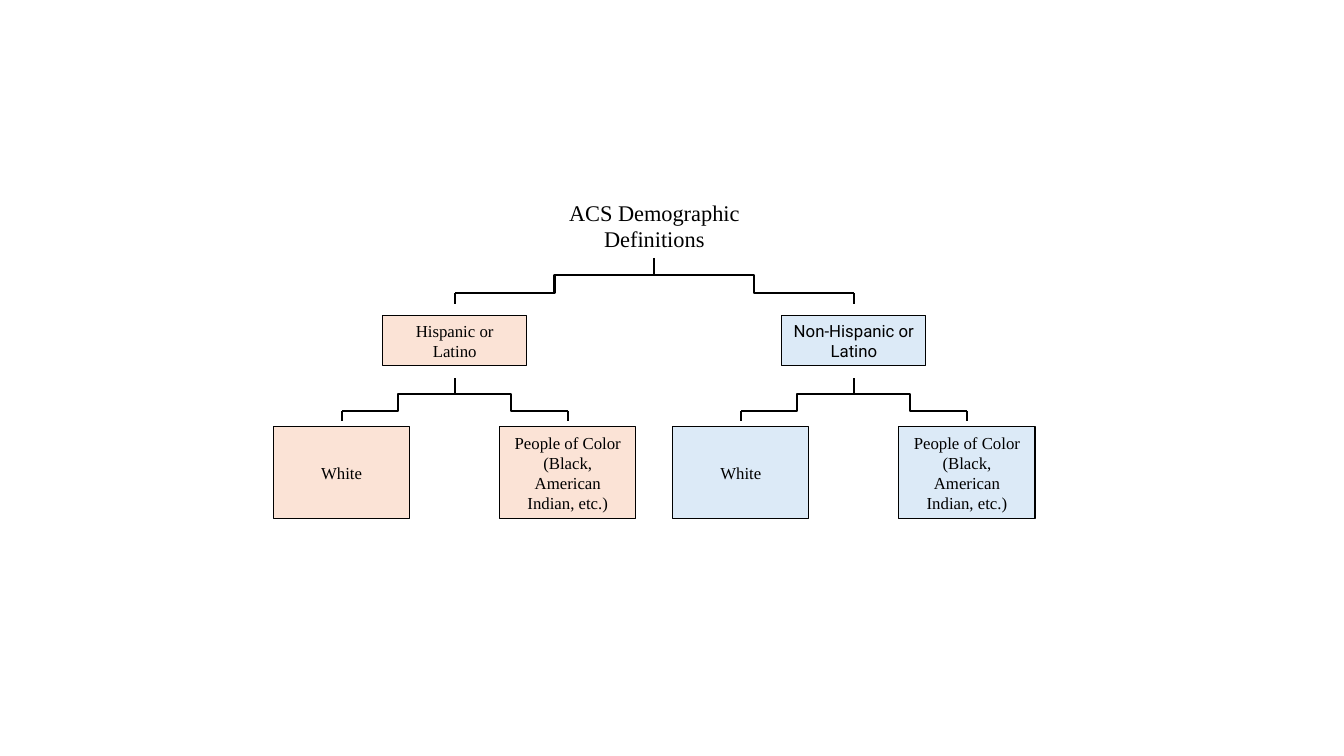
from dataclasses import dataclass

from lxml import etree
from pptx import Presentation
from pptx import util as u
from pptx.dml.color import RGBColor
from pptx.enum import shapes, text
from pptx.oxml.ns import qn

# Content
TITLE = "ACS Demographic Definitions"
LEAVES = ["White", "People of Color (Black, American Indian, etc.)"]
BRANCHES = [
    {"label": "Hispanic or Latino", "fill": "FBE3D6", "font": "Times New Roman"},
    {"label": "Non-Hispanic or Latino", "fill": "DCEAF7", "font": "Roboto"},
]


@dataclass(frozen=True)
class Theme:
    ink: str = "000000"
    serif: str = "Times New Roman"
    title_size: float = 16
    label_size: float = 12
    border: float = 0.75
    connector: float = 1.5


THEME = Theme()

# Layout in centimetres
ROOT_X = 16.49
BRANCH_SPREAD, LEAF_SPREAD = 5.03, 2.85
TITLE_TOP, TITLE_SIZE = 4.88, (5.49, 1.63)
BRANCH_TOP, BRANCH_SIZE = 7.95, (3.63, 1.27)
LEAF_TOP, LEAF_SIZE = 10.76, (3.43, 2.31)
# Each fork: top of stem, bar, shoulder, foot
ROOT_FORK = (6.5, 6.93, 7.39, 7.67)
BRANCH_FORK = (9.53, 9.94, 10.35, 10.61)


def write_label(shape, label, font, size):
    frame = shape.text_frame
    frame.word_wrap = True
    paragraph = frame.paragraphs[0]
    paragraph.alignment = text.PP_ALIGN.CENTER
    run = paragraph.add_run()
    run.text = label
    run.font.name = font
    run.font.size = u.Pt(size)
    run.font.color.rgb = RGBColor.from_string(THEME.ink)
    return frame


def add_box(slide, center, top, size, label, fill, font):
    width, height = size
    box = slide.shapes.add_shape(
        shapes.MSO_SHAPE.RECTANGLE,
        u.Cm(center - width / 2), u.Cm(top), u.Cm(width), u.Cm(height))
    box.shadow.inherit = False
    box.fill.solid()
    box.fill.fore_color.rgb = RGBColor.from_string(fill)
    box.line.color.rgb = RGBColor.from_string(THEME.ink)
    box.line.width = u.Pt(THEME.border)
    frame = write_label(box, label, font, THEME.label_size)
    frame.vertical_anchor = text.MSO_ANCHOR.MIDDLE


def add_line(group, kind, start, end):
    line = group.shapes.add_connector(kind, *(u.Cm(value) for value in start + end))
    line.line.color.rgb = RGBColor.from_string(THEME.ink)
    line.line.width = u.Pt(THEME.connector)
    properties = line._element.find(qn("p:spPr"))
    etree.SubElement(properties, qn("a:effectLst"))


def add_fork(slide, center, spread, levels):
    top, bar, shoulder, foot = levels
    straight, elbow = shapes.MSO_CONNECTOR.STRAIGHT, shapes.MSO_CONNECTOR.ELBOW
    group = slide.shapes.add_group_shape()
    add_line(group, straight, (center, top), (center, bar))
    for x in (center - spread, center + spread):
        add_line(group, elbow, (center, bar), (x, shoulder))
        add_line(group, straight, (x, shoulder), (x, foot))


def main():
    presentation = Presentation()
    presentation.slide_width, presentation.slide_height = u.Cm(33.87), u.Cm(19.05)
    slide = presentation.slides.add_slide(presentation.slide_layouts[5])

    # Root of the tree
    title = slide.shapes.title
    width, height = TITLE_SIZE
    title.left, title.top = u.Cm(ROOT_X - width / 2), u.Cm(TITLE_TOP)
    title.width, title.height = u.Cm(width), u.Cm(height)
    frame = write_label(title, TITLE, THEME.serif, THEME.title_size)
    frame.vertical_anchor = text.MSO_ANCHOR.TOP
    frame.auto_size = text.MSO_AUTO_SIZE.NONE
    add_fork(slide, ROOT_X, BRANCH_SPREAD, ROOT_FORK)

    # Branches with their leaves
    for side, branch in zip((-1, 1), BRANCHES):
        center = ROOT_X + side * BRANCH_SPREAD
        add_box(slide, center, BRANCH_TOP, BRANCH_SIZE,
                branch["label"], branch["fill"], branch["font"])
        add_fork(slide, center, LEAF_SPREAD, BRANCH_FORK)
        for leaf_side, leaf in zip((-1, 1), LEAVES):
            add_box(slide, center + leaf_side * LEAF_SPREAD, LEAF_TOP, LEAF_SIZE,
                    leaf, branch["fill"], THEME.serif)

    presentation.save("out.pptx")


if __name__ == "__main__":
    main()
